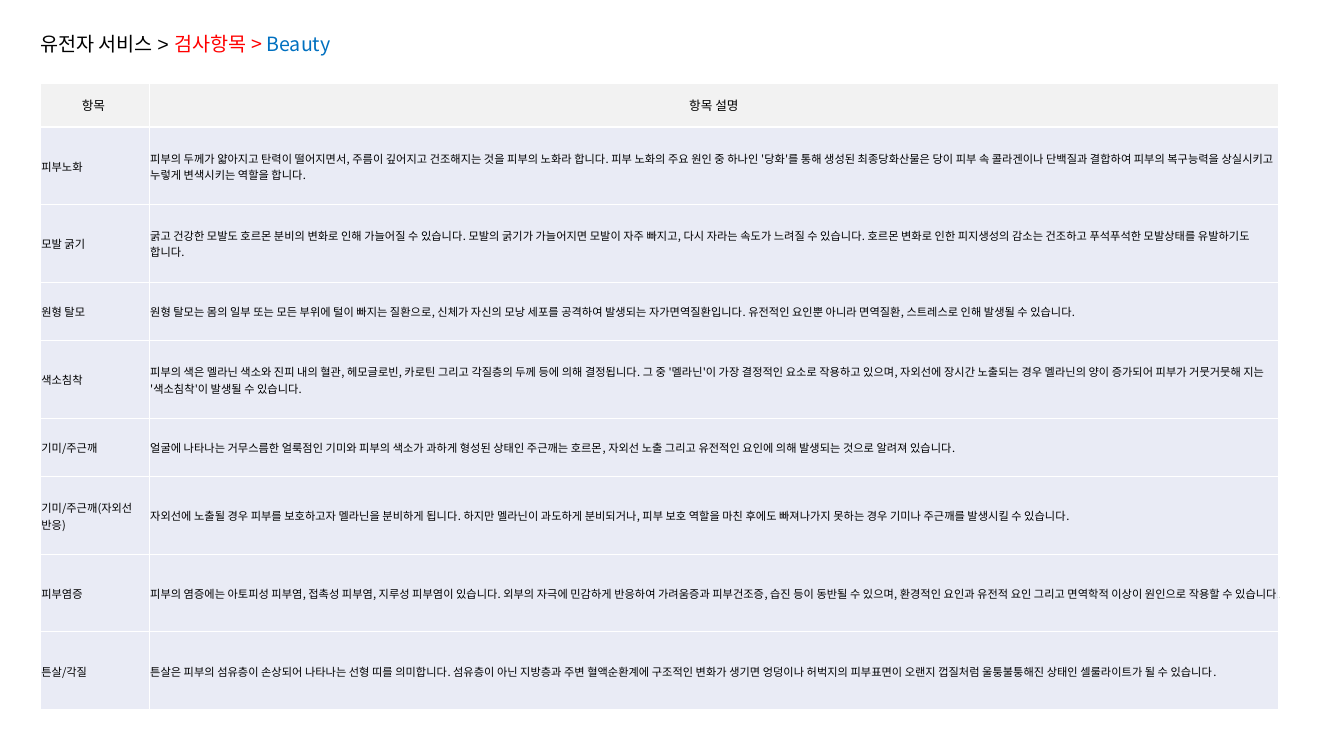
from typing import NamedTuple

from lxml import etree
from pptx import Presentation, table as tb
from pptx import util as u
from pptx.dml.color import RGBColor
from pptx.enum import text
from pptx.oxml.ns import qn
from pptx.text import text as tx

FONT = "Noto Sans CJK KR"
BLACK, WHITE, RED, BLUE = "000000", "FFFFFF", "FF0000", "0070C0"
HEADER_FILL, BODY_FILL = "F2F2F2", "E9EBF5"
HEADER_HEIGHT, TALL, SHORT = 0.43, 0.77, 0.58
COLUMN_WIDTHS = (1.08, 11.2)


class Item(NamedTuple):
    name: str
    description: str
    height: float = TALL


class TitlePart(NamedTuple):
    words: str
    color: str
    font: str = FONT


TITLE = (
    TitlePart("유전자 서비스 > ", BLACK, "Arial"),
    TitlePart("검사항목 > ", RED),
    TitlePart("Beauty", BLUE),
)
HEADER = Item("항목 ", "항목 설명", HEADER_HEIGHT)
ITEMS = (
    Item("피부노화", "피부의 두께가 얇아지고 탄력이 떨어지면서, 주름이 깊어지고 건조해지는 것을 피부의 노화라 합니다. "
         "피부 노화의 주요 원인 중 하나인 '당화'를 통해 생성된 최종당화산물은 당이 피부 속 콜라겐이나 단백질과 결합하여 "
         "피부의 복구능력을 상실시키고 누렇게 변색시키는 역할을 합니다."),
    Item("모발 굵기", "굵고 건강한 모발도 호르몬 분비의 변화로 인해 가늘어질 수 있습니다. "
         "모발의 굵기가 가늘어지면 모발이 자주 빠지고, 다시 자라는 속도가 느려질 수 있습니다. "
         "호르몬 변화로 인한 피지생성의 감소는 건조하고 푸석푸석한 모발상태를 유발하기도 합니다."),
    Item("원형 탈모", "원형 탈모는 몸의 일부 또는 모든 부위에 털이 빠지는 질환으로, "
         "신체가 자신의 모낭 세포를 공격하여 발생되는 자가면역질환입니다. "
         "유전적인 요인뿐 아니라 면역질환, 스트레스로 인해 발생될 수 있습니다.", SHORT),
    Item("색소침착", "피부의 색은 멜라닌 색소와 진피 내의 혈관, 헤모글로빈, 카로틴 그리고 각질층의 두께 등에 의해 결정됩니다. "
         "그 중 '멜라닌'이 가장 결정적인 요소로 작용하고 있으며, 자외선에 장시간 노출되는 경우 멜라닌의 양이 증가되어 "
         "피부가 거뭇거뭇해 지는 '색소침착'이 발생될 수 있습니다."),
    Item("기미/주근깨", "얼굴에 나타나는 거무스름한 얼룩점인 기미와 피부의 색소가 과하게 형성된 상태인 주근깨는 "
         "호르몬, 자외선 노출 그리고 유전적인 요인에 의해 발생되는 것으로 알려져 있습니다.", SHORT),
    Item("기미/주근깨(자외선 반응)", "자외선에 노출될 경우 피부를 보호하고자 멜라닌을 분비하게 됩니다. "
         "하지만 멜라닌이 과도하게 분비되거나, 피부 보호 역할을 마친 후에도 빠져나가지 못하는 경우 "
         "기미나 주근깨를 발생시킬 수 있습니다."),
    Item("피부염증", "피부의 염증에는 아토피성 피부염, 접촉성 피부염, 지루성 피부염이 있습니다. "
         "외부의 자극에 민감하게 반응하여 가려움증과 피부건조증, 습진 등이 동반될 수 있으며, "
         "환경적인 요인과 유전적 요인 그리고 면역학적 이상이 원인으로 작용할 수 있습니다."),
    Item("튼살/각질", "튼살은 피부의 섬유층이 손상되어 나타나는 선형 띠를 의미합니다. "
         "섬유층이 아닌 지방층과 주변 혈액순환계에 구조적인 변화가 생기면 엉덩이나 허벅지의 피부표면이 "
         "오랜지 껍질처럼 울퉁불퉁해진 상태인 셀룰라이트가 될 수 있습니다."),
)


def rgb(color: str) -> RGBColor:
    return RGBColor.from_string(color)


def add_text(p: tx._Paragraph, words: str, *, size: float, color: str = BLACK, font: str = FONT) -> None:
    r = p.add_run()
    r.text = words
    r.font.size = u.Pt(size)
    r.font.bold = False
    r.font.name = font
    r.font.color.rgb = rgb(color)
    etree.SubElement(r.font._element, qn("a:ea"), typeface=FONT)


def add_borders(cell: tb._Cell, color: str, width: float) -> None:
    """Line all four sides; call before the fill, which must follow in the XML."""
    props = cell._tc.get_or_add_tcPr()
    for side in "LRTB":
        line = etree.SubElement(props, qn(f"a:ln{side}"), w=str(u.Pt(width)))
        fill = etree.SubElement(line, qn("a:solidFill"))
        etree.SubElement(fill, qn("a:srgbClr"), val=color)


def fill_row(table: tb.Table, index: int, item: Item) -> None:
    is_header = index == 0
    inset = u.Inches(0 if is_header else 0.01)
    table.rows[index].height = u.Inches(item.height)
    for column, words in enumerate((item.name, item.description)):
        cell = table.cell(index, column)
        add_borders(cell, WHITE, 1)
        cell.fill.solid()
        cell.fill.fore_color.rgb = rgb(HEADER_FILL if is_header else BODY_FILL)
        cell.vertical_anchor = text.MSO_ANCHOR.MIDDLE
        cell.margin_left = cell.margin_top = cell.margin_right = inset
        cell.margin_bottom = 0
        p = cell.text_frame.paragraphs[0]
        p.alignment = text.PP_ALIGN.CENTER if is_header else text.PP_ALIGN.LEFT
        add_text(p, words, size=9 if is_header else 8)


def main() -> None:
    prs = Presentation()
    prs.slide_width, prs.slide_height = u.Inches(13.33), u.Inches(7.5)
    s = prs.slides.add_slide(prs.slide_layouts[6])

    title = s.shapes.add_textbox(u.Inches(0.3), u.Inches(0.27), u.Inches(3.57), u.Inches(0.34))
    tf = title.text_frame
    tf.word_wrap = False
    tf.auto_size = text.MSO_AUTO_SIZE.SHAPE_TO_FIT_TEXT
    for part in TITLE:
        add_text(tf.paragraphs[0], part.words, size=14, color=part.color, font=part.font)

    rows = (HEADER, *ITEMS)
    frame = s.shapes.add_table(
        len(rows), len(COLUMN_WIDTHS), u.Inches(0.4), u.Inches(0.83),
        u.Inches(sum(COLUMN_WIDTHS)), u.Inches(sum(row.height for row in rows)))
    table = frame.table
    table.first_row = table.horz_banding = False
    for column, width in zip(table.columns, COLUMN_WIDTHS):
        column.width = u.Inches(width)
    for index, row in enumerate(rows):
        fill_row(table, index, row)

    prs.save("out.pptx")


if __name__ == "__main__":
    main()
